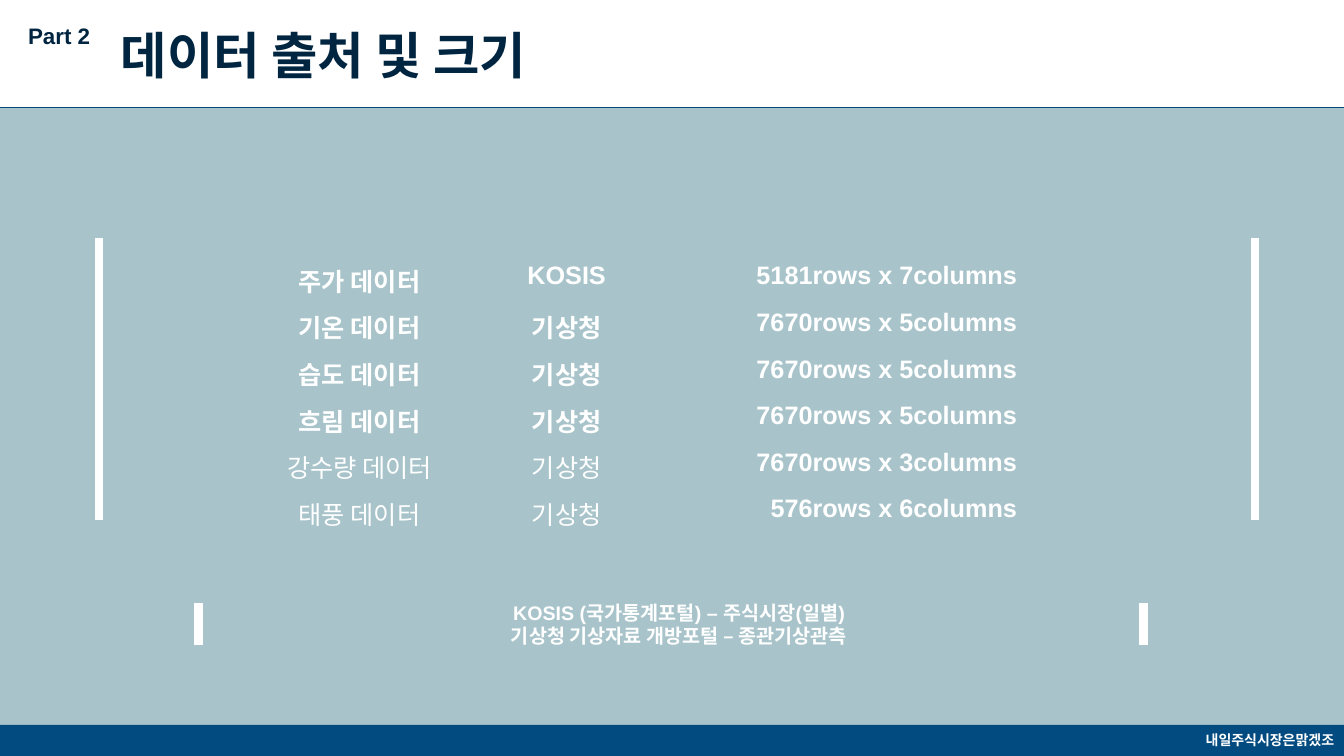
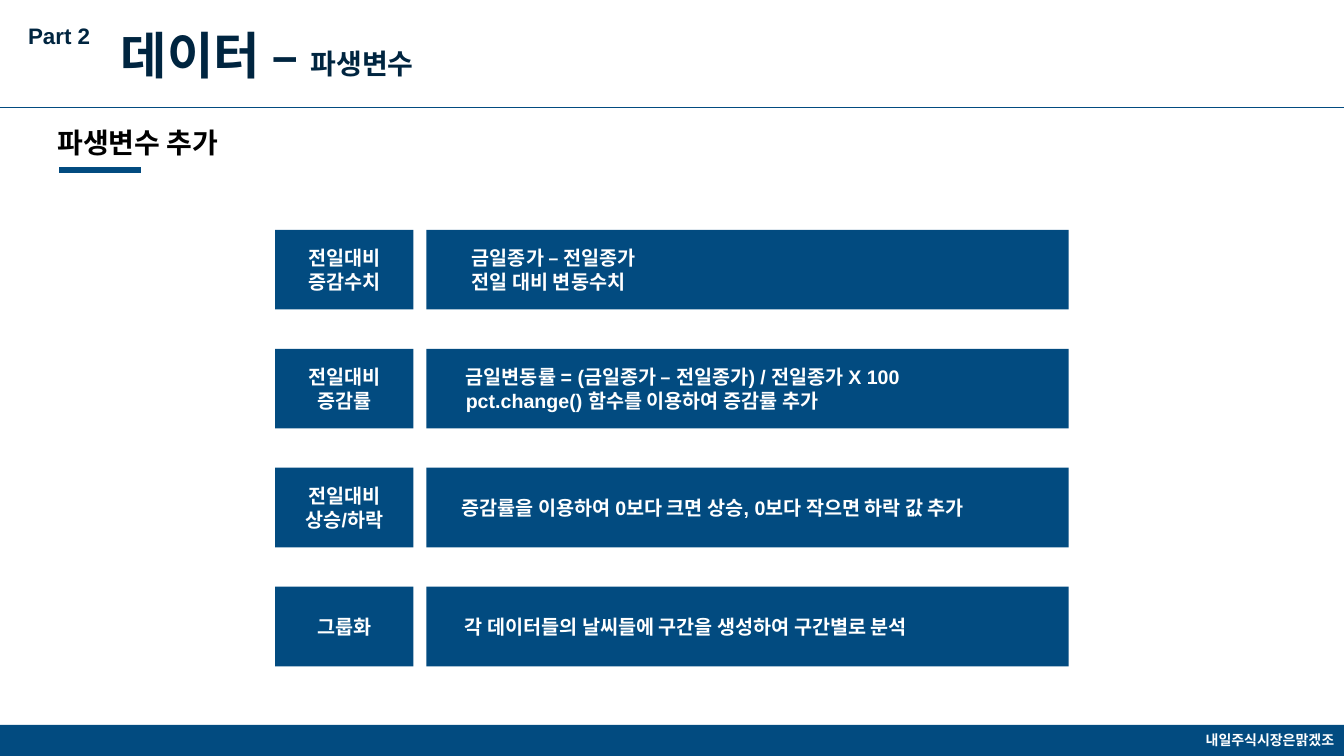
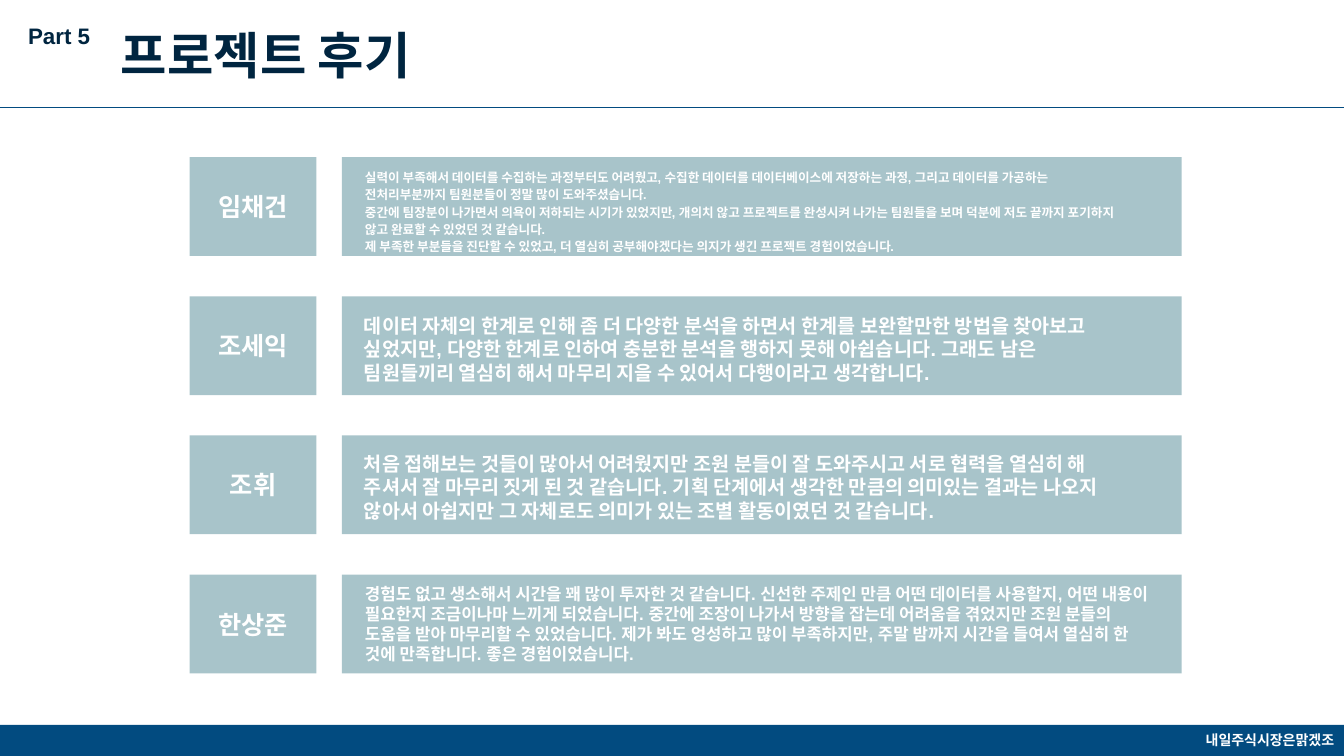
from dataclasses import dataclass

import pptx
import pptx.chart.data
import pptx.dml.color
import pptx.enum.shapes
import pptx.enum.text
import pptx.oxml
import pptx.util
from lxml import etree

Inches = pptx.util.Inches
Pt = pptx.util.Pt
SHAPE = pptx.enum.shapes.MSO_SHAPE
ALIGN = pptx.enum.text.PP_ALIGN
ANCHOR = pptx.enum.text.MSO_ANCHOR

COLORS = {
    "navy": "002540",
    "blue": "024B80",
    "mist": "A8C4CA",
    "white": "FFFFFF",
    "black": "000000",
}
FONT = "Arial"
KOREAN_FONT = "Noto Sans CJK KR"
NO_TABLE_STYLE = "{2D5ABB26-0587-4C30-8999-92F81FD0307C}"
DRAWING_NS = "http://schemas.openxmlformats.org/drawingml/2006/main"
WIDTH, HEIGHT = 13.33, 7.5
HEADER_BOTTOM = 1.07


@dataclass
class Card:
    label: str
    body: str
    left: float
    right: float = 0.1
    top: float = 0.05
    size: float = 14
    spacing: float = 1.0


@dataclass
class CardGrid:
    top: float
    pitch: float
    height: float
    label_left: float
    label_width: float
    body_left: float
    body_width: float
    label_size: float
    color: str
    body_anchor: pptx.enum.text.MSO_ANCHOR


def rgb(name: str) -> pptx.dml.color.RGBColor:
    return pptx.dml.color.RGBColor.from_string(COLORS[name])


def style_run(r, size: float, color: str, bold: bool = True, font: str = FONT) -> None:
    r.font.name = font
    r.font.size = Pt(size)
    r.font.bold = bold
    r.font.color.rgb = rgb(color)


def write(tf, text: str, size: float, color: str, align=ALIGN.LEFT, anchor=ANCHOR.TOP,
          spacing: float = 1.0) -> None:
    tf.text = text
    tf.word_wrap = True
    tf.auto_size = pptx.enum.text.MSO_AUTO_SIZE.NONE
    tf.vertical_anchor = anchor
    for p in tf.paragraphs:
        p.alignment = align
        p.line_spacing = spacing
        for r in p.runs:
            style_run(r, size, color)


def add_text(s, x: float, y: float, w: float, h: float, text: str, size: float,
             color: str, align=ALIGN.LEFT):
    sp = s.shapes.add_textbox(Inches(x), Inches(y), Inches(w), Inches(h))
    write(sp.text_frame, text, size, color, align)
    return sp


def add_rect(s, x: float, y: float, w: float, h: float, color: str):
    sp = s.shapes.add_shape(SHAPE.RECTANGLE, Inches(x), Inches(y), Inches(w), Inches(h))
    sp.shadow.inherit = False
    sp.fill.solid()
    sp.fill.fore_color.rgb = rgb(color)
    sp.line.fill.background()
    return sp


def add_line(s, x1: float, x2: float, y: float, width: float) -> None:
    line = s.shapes.add_connector(pptx.enum.shapes.MSO_CONNECTOR.STRAIGHT,
                                  Inches(x1), Inches(y), Inches(x2), Inches(y))
    line.line.color.rgb = rgb("blue")
    line.line.width = Pt(width)
    etree.SubElement(line._element.spPr, f"{{{DRAWING_NS}}}effectLst")


def add_brackets(s, x: float, y: float, w: float, h: float) -> None:
    sp = s.shapes.add_shape(SHAPE.DOUBLE_BRACKET, Inches(x), Inches(y), Inches(w), Inches(h))
    sp.adjustments[0] = 0
    sp.shadow.inherit = False
    sp.fill.background()
    sp.line.color.rgb = rgb("white")
    sp.line.width = Pt(6)


def add_slide(prs, part: str, title: str, subtitle: str = "", background: str = ""):
    s = prs.slides.add_slide(prs.slide_layouts[5])
    if background:
        add_rect(s, 0, HEADER_BOTTOM, WIDTH, HEIGHT - HEADER_BOTTOM, background)
    add_line(s, 0, WIDTH, HEADER_BOTTOM, 0.75)
    add_text(s, 0.18, 0.17, 0.92, 0.37, part, 16, "navy")

    sp = s.shapes.title
    sp.left, sp.top, sp.width, sp.height = Inches(1.1), Inches(0.19), Inches(8.07), Inches(0.71)
    write(sp.text_frame, title, 36, "navy")
    if subtitle:
        r = sp.text_frame.paragraphs[0].add_run()
        r.text = subtitle
        style_run(r, 20, "navy")

    footer = add_rect(s, 0, 7.19, WIDTH, 0.31, "blue")
    write(footer.text_frame, "내일주식시장은맑겠조", 10, "white", ALIGN.RIGHT, ANCHOR.MIDDLE)
    return s


def add_cards(s, grid: CardGrid, cards: list[Card]) -> None:
    for i, card in enumerate(cards):
        y = grid.top + i * grid.pitch
        label = add_rect(s, grid.label_left, y, grid.label_width, grid.height, grid.color)
        write(label.text_frame, card.label, grid.label_size, "white", ALIGN.CENTER, ANCHOR.MIDDLE)
        body = add_rect(s, grid.body_left, y, grid.body_width, grid.height, grid.color)
        tf = body.text_frame
        tf.margin_left, tf.margin_right = Inches(card.left), Inches(card.right)
        tf.margin_top = Inches(card.top)
        tf.margin_bottom = Inches(0.05)
        write(tf, card.body, card.size, "white", anchor=grid.body_anchor, spacing=card.spacing)


def add_data_table(s, rows: list[tuple[str, str, str]]) -> None:
    widths = (2.55, 1.56, 4.79)
    row_height = 0.4
    frame = s.shapes.add_table(len(rows), len(widths), Inches(2.29), Inches(2.55),
                               Inches(sum(widths)), Inches(row_height * len(rows)))
    table = frame.table
    table.first_row = False
    table.horz_banding = False
    table._tbl.tblPr.find(f"{{{DRAWING_NS}}}tableStyleId").text = NO_TABLE_STYLE
    for column, width in zip(table.columns, widths):
        column.width = Inches(width)
    for i, row in enumerate(rows):
        table.rows[i].height = Inches(row_height)
        for j, text in enumerate(row):
            cell = table.cell(i, j)
            cell.fill.background()
            cell.text = text
            p = cell.text_frame.paragraphs[0]
            p.alignment = ALIGN.CENTER
            bold = i < 4 or j == 2
            style_run(p.runs[0], 18, "white", bold, FONT if bold else KOREAN_FONT)
    table.cell(len(rows) - 1, 2).margin_left = Inches(0.24)


def build_sources(prs) -> None:
    s = add_slide(prs, "Part 2", "데이터 출처 및 크기", background="mist")
    add_brackets(s, 0.98, 2.36, 11.47, 2.8)
    add_data_table(s, [
        ("주가 데이터", "KOSIS", "5181rows x 7columns"),
        ("기온 데이터", "기상청", "7670rows x 5columns"),
        ("습도 데이터", "기상청", "7670rows x 5columns"),
        ("흐림 데이터", "기상청", "7670rows x 5columns"),
        ("강수량 데이터", "기상청", "7670rows x 3columns"),
        ("태풍 데이터", "기상청", "576rows x 6columns"),
    ])
    add_text(s, 2.17, 5.91, 9.13, 0.57,
             "KOSIS (국가통계포털) – 주식시장(일별)\n기상청 기상자료 개방포털 – 종관기상관측",
             14, "white", ALIGN.CENTER)
    add_brackets(s, 1.97, 5.98, 9.37, 0.42)


def build_variables(prs) -> None:
    s = add_slide(prs, "Part 2", "데이터 – ", "파생변수")
    heading = add_text(s, 0.47, 1.15, 10.73, 0.54, "파생변수 추가", 20, "black")
    heading.text_frame.margin_top = heading.text_frame.margin_bottom = Inches(0.1)
    add_line(s, 0.59, 1.4, 1.69, 4.5)
    grid = CardGrid(2.28, 1.18, 0.79, 2.73, 1.37, 4.23, 6.37, 14, "blue", ANCHOR.MIDDLE)
    add_cards(s, grid, [
        Card("전일대비\n증감수치", "금일종가 – 전일종가\n전일 대비 변동수치", 0.45),
        Card("전일대비\n증감률",
             "금일변동률 = (금일종가 – 전일종가) / 전일종가 X 100\n"
             "pct.change() 함수를 이용하여 증감률 추가", 0.39),
        Card("전일대비\n상승/하락",
             "증감률을 이용하여 0보다 크면 상승, 0보다 작으면 하락 값 추가", 0.35),
        Card("그룹화", "각 데이터들의 날씨들에 구간을 생성하여 구간별로 분석", 0.38),
    ])


def build_reviews(prs) -> None:
    s = add_slide(prs, "Part 5", "프로젝트 후기")
    grid = CardGrid(1.56, 1.38, 0.98, 1.88, 1.26, 3.39, 8.33, 18, "mist", ANCHOR.TOP)
    add_cards(s, grid, [
        Card("임채건",
             "실력이 부족해서 데이터를 수집하는 과정부터도 어려웠고, 수집한 데이터를 "
             "데이터베이스에 저장하는 과정, 그리고 데이터를 가공하는 전처리부분까지 "
             "팀원분들이 정말 많이 도와주셨습니다.\n"
             "중간에 팀장분이 나가면서 의욕이 저하되는 시기가 있었지만, 개의치 않고 "
             "프로젝트를 완성시켜 나가는 팀원들을 보며 덕분에 저도 끝까지 포기하지 않고 "
             "완료할 수 있었던 것 같습니다.\n"
             "제 부족한 부분들을 진단할 수 있었고, 더 열심히 공부해야겠다는 의지가 생긴 "
             "프로젝트 경험이었습니다.", 0.23, 0.52, 0.1, 9, 1.15),
        Card("조세익",
             "데이터 자체의 한계로 인해 좀 더 다양한 분석을 하면서 한계를 보완할만한 방법을 "
             "찾아보고 싶었지만, 다양한 한계로 인하여 충분한 분석을 행하지 못해 아쉽습니다. "
             "그래도 남은 팀원들끼리 열심히 해서 마무리 지을 수 있어서 다행이라고 생각합니다.",
             0.22, 0.69, 0.17),
        Card("조휘",
             "처음 접해보는 것들이 많아서 어려웠지만 조원 분들이 잘 도와주시고 서로 협력을 "
             "열심히 해 주셔서 잘 마무리 짓게 된 것 같습니다. 기획 단계에서 생각한 만큼의 "
             "의미있는 결과는 나오지 않아서 아쉽지만 그 자체로도 의미가 있는 조별 "
             "활동이였던 것 같습니다.", 0.22, 0.42, 0.16),
        Card("한상준",
             "경험도 없고 생소해서 시간을 꽤 많이 투자한 것 같습니다. 신선한 주제인 만큼 어떤 "
             "데이터를 사용할지, 어떤 내용이 필요한지 조금이나마 느끼게 되었습니다. 중간에 "
             "조장이 나가서 방향을 잡는데 어려움을 겪었지만 조원 분들의 도움을 받아 마무리할 "
             "수 있었습니다. 제가 봐도 엉성하고 많이 부족하지만, 주말 밤까지 시간을 들여서 "
             "열심히 한 것에 만족합니다. 좋은 경험이었습니다.", 0.23, 0.33, 0.09, 12),
    ])


def main() -> None:
    prs = pptx.Presentation()
    prs.slide_width, prs.slide_height = Inches(WIDTH), Inches(HEIGHT)
    build_sources(prs)
    build_variables(prs)
    build_reviews(prs)
    prs.save("out.pptx")


if __name__ == "__main__":
    main()
